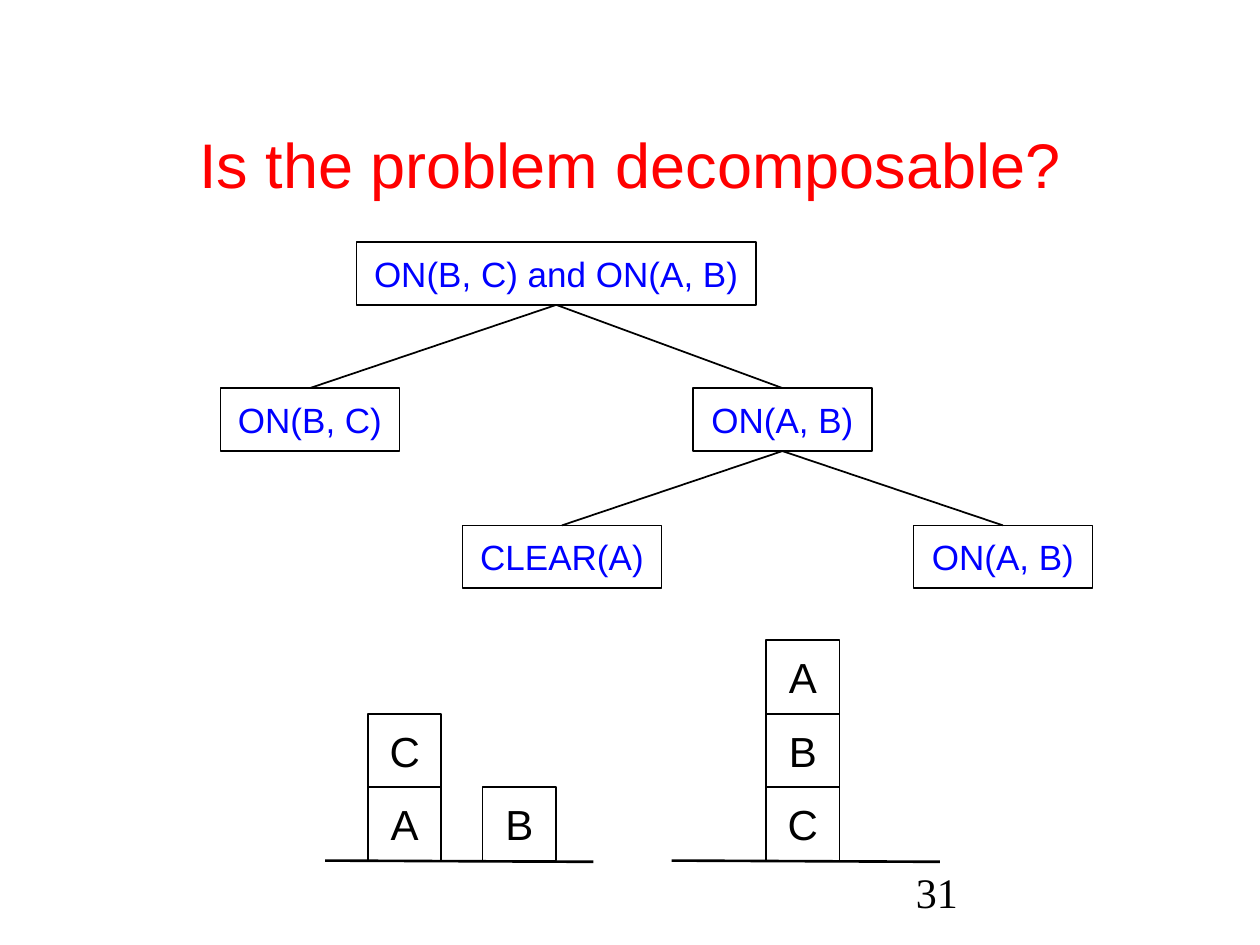
"""Build a slide on decomposing a blocks-world goal into subgoals."""
import pptx
import pptx.util
from lxml import etree
from pptx.dml.color import RGBColor
from pptx.enum.shapes import MSO_CONNECTOR, MSO_SHAPE
from pptx.enum.text import MSO_ANCHOR, PP_ALIGN
from pptx.oxml.ns import qn
from pptx.util import Inches, Pt

RED = RGBColor(0xFF, 0x00, 0x00)
BLUE = RGBColor(0x00, 0x00, 0xFF)
BLACK = RGBColor(0x00, 0x00, 0x00)

TITLE = "Is the problem decomposable?"
PAGE_NUMBER = "31"
GOALS = {
    "both": ("ON(B, C) and ON(A, B)", 2.83, 1.92, 3.17),
    "b on c": ("ON(B, C)", 1.75, 3.08, 1.42),
    "a on b": ("ON(A, B)", 5.5, 3.08, 1.42),
    "clear a": ("CLEAR(A)", 3.67, 4.17, 1.58),
    "a on b again": ("ON(A, B)", 7.25, 4.17, 1.42),
}
SUBGOALS = [
    ("both", "b on c"),
    ("both", "a on b"),
    ("a on b", "clear a"),
    ("a on b", "a on b again"),
]
TABLES = [
    (2.58, [(2.92, "AC"), (3.83, "B")]),
    (5.33, [(6.08, "CBA")]),
]
GOAL_HEIGHT = 0.5
BLOCK_SIZE = 0.583
TABLE_TOP = 6.83
TABLE_WIDTH = 2.13


def write(shape, text, size, color, font="Arial", align=PP_ALIGN.CENTER,
          anchor=MSO_ANCHOR.MIDDLE):
    frame = shape.text_frame
    frame.word_wrap = True
    frame.vertical_anchor = anchor
    paragraph = frame.paragraphs[0]
    paragraph.text = text
    paragraph.alignment = align
    paragraph.font.name = font
    paragraph.font.size = Pt(size)
    paragraph.font.color.rgb = color


def add_text(page, place, *text_style):
    box = page.shapes.add_textbox(*map(Inches, place))
    write(box, *text_style)


def add_box(page, place, text, size, color):
    box = page.shapes.add_shape(MSO_SHAPE.RECTANGLE, *map(Inches, place))
    box.shadow.inherit = False
    box.fill.background()
    box.line.color.rgb = BLACK
    box.line.width = Pt(1)
    write(box, text, size, color)


def add_line(page, start, end, width):
    line = page.shapes.add_connector(
        MSO_CONNECTOR.STRAIGHT, *map(Inches, (*start, *end)))
    line.line.color.rgb = BLACK
    line.line.width = Pt(width)
    etree.SubElement(line._element.spPr, qn("a:effectLst"))


def add_goal_tree(page):
    for text, left, top, width in GOALS.values():
        add_box(page, (left, top, width, GOAL_HEIGHT), text, 20, BLUE)
    for parent, child in SUBGOALS:
        _, left, top, width = GOALS[parent]
        _, child_left, child_top, child_width = GOALS[child]
        add_line(page, (left + width / 2, top + GOAL_HEIGHT),
                 (child_left + child_width / 2, child_top), 1)


def add_block_tables(page):
    for table_left, stacks in TABLES:
        for left, blocks in stacks:
            for level, name in enumerate(blocks, start=1):
                top = TABLE_TOP - level * BLOCK_SIZE
                add_box(page, (left, top, BLOCK_SIZE, BLOCK_SIZE),
                        name, 24, BLACK)
        add_line(page, (table_left, TABLE_TOP),
                 (table_left + TABLE_WIDTH, TABLE_TOP + 0.01), 1.5)


def main():
    deck = pptx.Presentation()
    deck.slide_width, deck.slide_height = Inches(10), Inches(7.5)
    page = deck.slides.add_slide(deck.slide_layouts[6])
    add_text(page, (7.17, 6.83, 2.08, 0.5), PAGE_NUMBER, 24, BLACK,
             "Times New Roman", PP_ALIGN.LEFT, MSO_ANCHOR.TOP)
    add_text(page, (0.75, 0.67, 8.5, 1.25), TITLE, 36, RED)
    add_goal_tree(page)
    add_block_tables(page)
    deck.save("out.pptx")


if __name__ == "__main__":
    main()
